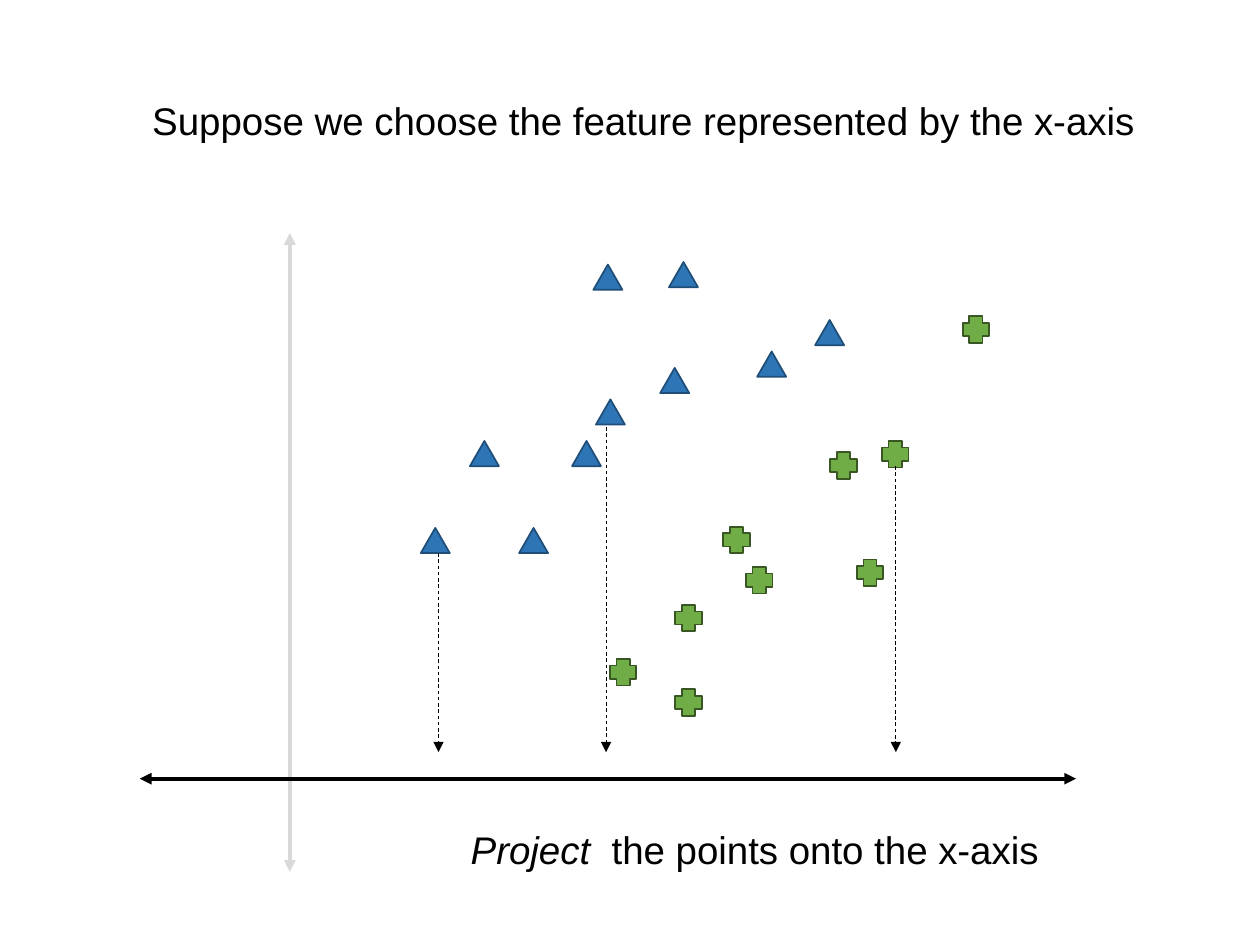
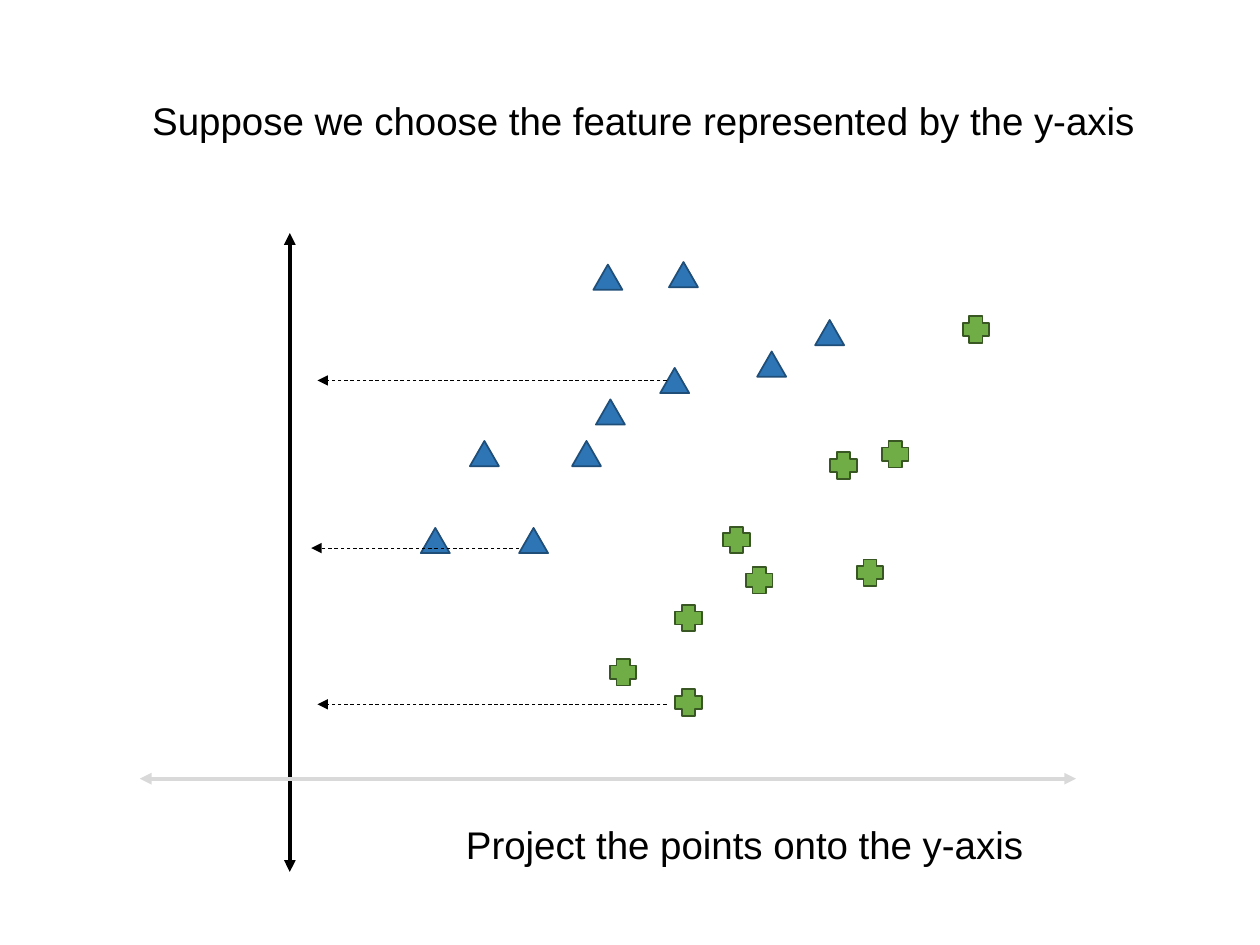
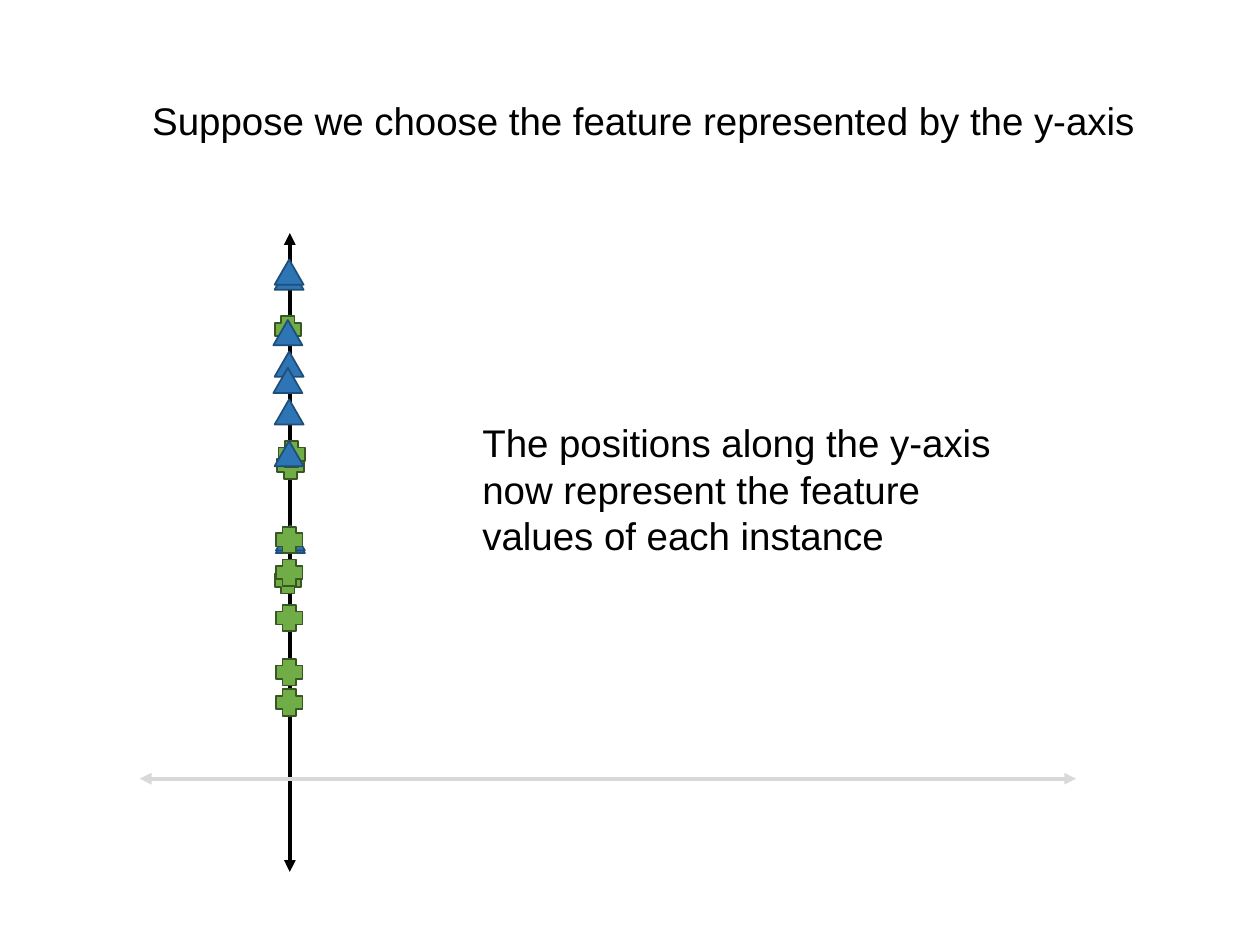
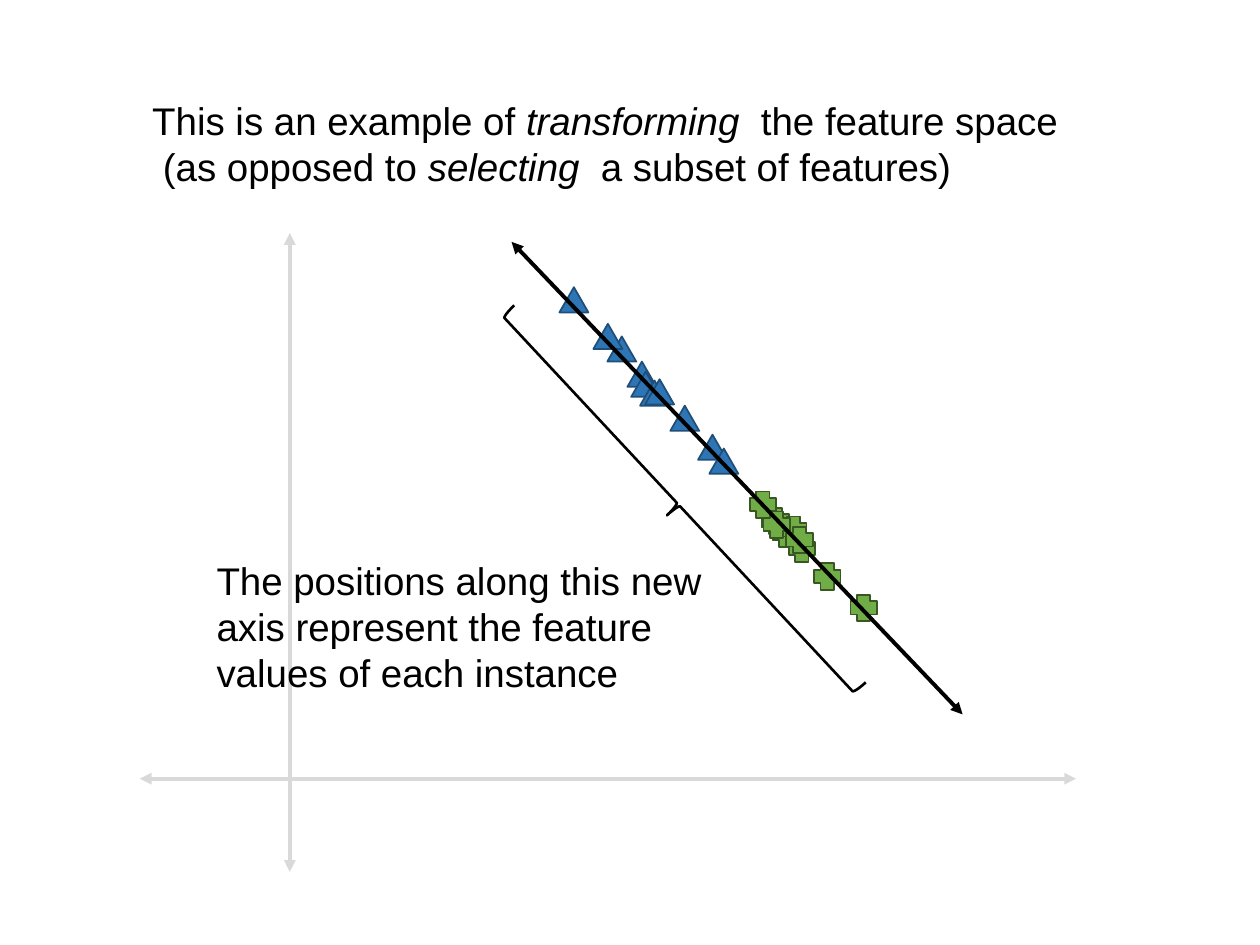
from pptx import Presentation, util as u
from pptx.dml.color import RGBColor
from pptx.enum import dml, shapes, text
from pptx.oxml.ns import qn
from lxml import etree

COLORS = {
    "ink": "000000",
    "muted": "D9D9D9",
    "triangle": "2E75B6",
    "triangle_edge": "1F4E79",
    "plus": "70AD47",
    "plus_edge": "385723",
}
FONT = "Arial"
TITLE_BOX = (1.11, 0.72, 8.51, 0.47)
PLOT_BOX = (1, 1, 8, 6)
MARKERS = {
    "triangle": (shapes.MSO_SHAPE.ISOSCELES_TRIANGLE, 0.23, 0.2),
    "plus": (shapes.MSO_SHAPE.CROSS, 0.21, 0.21),
}

SCATTER = [
    ("triangle", [(2.34, 3.19)]),
    ("plus", [(3.84, 4.23)]),
    ("triangle", [(2.73, 2.5), (3.12, 3.19), (3.71, 1.1), (5.01, 1.79),
                  (3.73, 2.17), (4.31, 1.08)]),
    ("plus", [(4.36, 3.8), (4.74, 3.18), (5.59, 2.59), (6.64, 1.51),
              (4.92, 3.5), (5.8, 3.44), (6, 2.5), (4.36, 4.47)]),
    ("triangle", [(5.47, 1.54), (3.54, 2.5), (4.24, 1.92)]),
]
ON_Y_AXIS = [
    ("triangle", [(1.19, 3.19)]),
    ("plus", [(1.19, 4.23)]),
    ("triangle", [(1.19, 3.17), (1.18, 1.1), (1.18, 1.79), (1.18, 2.17),
                  (1.18, 1.06)]),
    ("plus", [(1.19, 3.8), (1.19, 3.18), (1.2, 2.59), (1.18, 1.51),
              (1.18, 3.5), (1.19, 3.44), (1.21, 2.5), (1.19, 4.47)]),
    ("triangle", [(1.17, 1.54), (1.18, 2.5), (1.17, 1.92)]),
]
ON_NEW_AXIS = [
    ("triangle", [(3.98, 1.87)]),
    ("plus", [(5.05, 3.03)]),
    ("triangle", [(3.82, 1.67), (4.32, 2.22), (3.44, 1.28), (4.54, 2.45),
                  (4.01, 1.95), (3.71, 1.57)]),
    ("plus", [(5.13, 3.13), (4.95, 2.9), (5.19, 3.1), (5.06, 3.06),
              (5.26, 3.25), (5.75, 3.72), (5.24, 3.18), (5.46, 3.47)]),
    ("triangle", [(4.63, 2.56), (4.08, 2.02), (4.12, 2.01)]),
]


def rgb(name):
    return RGBColor.from_string(COLORS[name])


def add_text(s, box, runs, align=text.PP_ALIGN.LEFT, size=22, color="ink"):
    tf = s.shapes.add_textbox(*map(u.Inches, box)).text_frame
    tf.word_wrap = True
    tf.auto_size = text.MSO_AUTO_SIZE.SHAPE_TO_FIT_TEXT
    p = tf.paragraphs[0]
    p.alignment = align
    for words, italic in runs:
        for i, line in enumerate(words.split("\n")):
            if i:
                p.add_line_break()
            r = p.add_run()
            r.text = line
            r.font.name = FONT
            r.font.size = u.Pt(size)
            r.font.italic = italic
            r.font.color.rgb = rgb(color)


def add_arrow(s, box, start, end, color="ink", width=2.25, dashed=False,
              ends=("headEnd", "tailEnd")):
    x, y = box[:2]
    c = s.shapes.add_connector(
        shapes.MSO_CONNECTOR.STRAIGHT,
        u.Inches(x + start[0]), u.Inches(y + start[1]),
        u.Inches(x + end[0]), u.Inches(y + end[1]))
    c.line.width = u.Pt(width)
    c.line.color.rgb = rgb(color)
    if dashed:
        c.line.dash_style = dml.MSO_LINE.DASH
    ln = c.line._get_or_add_ln()
    for end_name in ends:
        etree.SubElement(ln, qn("a:" + end_name), type="triangle")
    etree.SubElement(c._element.spPr, qn("a:effectLst"))


def add_axes(s, box, x_color="muted", y_color="muted"):
    add_arrow(s, box, (1.3, 0.85), (1.3, 5.92), color=y_color)
    add_arrow(s, box, (7.54, 5.18), (0.11, 5.18), color=x_color)


def add_markers(s, box, groups):
    for kind, points in groups:
        preset, w, h = MARKERS[kind]
        for x, y in points:
            sp = s.shapes.add_shape(
                preset, u.Inches(box[0] + x), u.Inches(box[1] + y),
                u.Inches(w), u.Inches(h))
            sp.shadow.inherit = False
            sp.fill.solid()
            sp.fill.fore_color.rgb = rgb(kind)
            sp.line.color.rgb = rgb(kind + "_edge")
            sp.line.width = u.Pt(1)


def add_projections(s, box, segments):
    for start, end in segments:
        add_arrow(s, box, start, end, width=0.5, dashed=True,
                  ends=("tailEnd",))


def add_brace(s, box, x, y, w, h, rotation):
    sp = s.shapes.add_shape(
        shapes.MSO_SHAPE.LEFT_BRACE, u.Inches(box[0] + x),
        u.Inches(box[1] + y), u.Inches(w), u.Inches(h))
    sp.rotation = rotation
    sp.shadow.inherit = False
    sp.fill.background()
    sp.line.color.rgb = rgb("ink")
    sp.line.width = u.Pt(1.5)


def add_plot_slide(prs, title, groups, caption, caption_box, box=PLOT_BOX,
                   title_box=TITLE_BOX, segments=(),
                   align=text.PP_ALIGN.LEFT, **axis_colors):
    s = prs.slides.add_slide(prs.slide_layouts[6])
    add_axes(s, box, **axis_colors)
    add_markers(s, box, groups)
    add_projections(s, box, segments)
    add_text(s, title_box, title)
    x, y, w, h = caption_box
    add_text(s, (box[0] + x, box[1] + y, w, h), caption, align=align)
    return s


def axis_title(axis):
    return [(f"Suppose we choose the feature represented by the {axis}-axis",
             False)]


def main():
    prs = Presentation()
    prs.slide_width, prs.slide_height = u.Inches(10), u.Inches(7.5)

    add_plot_slide(
        prs, axis_title("x"), SCATTER,
        [("Project ", True), (" the points onto the x-axis", False)],
        (1.75, 5.51, 6.48, 0.47), align=text.PP_ALIGN.CENTER, x_color="ink",
        segments=[((x, y), (x, 4.97))
                  for x, y in [(2.48, 3.39), (3.81, 2.39), (6.11, 2.7)]])

    add_plot_slide(
        prs, axis_title("y"), SCATTER,
        [("Project the points onto the y-axis", False)],
        (1.67, 5.47, 6.48, 0.47), align=text.PP_ALIGN.CENTER, y_color="ink",
        segments=[((start, y), (end, y)) for start, end, y in
                  [(3.12, 1.47, 3.35), (4.29, 1.52, 2.02),
                   (4.29, 1.52, 4.59)]])

    add_plot_slide(
        prs, axis_title("y"), ON_Y_AXIS,
        [("The positions along the y-axis now represent the feature "
          "values of each instance", False)],
        (2.73, 2.28, 4.36, 1.21), y_color="ink")

    s = add_plot_slide(
        prs,
        [("This is an example of ", False), ("transforming ", True),
         (" the feature space \n (as opposed to ", False),
         ("selecting ", True), (" a subset of features)", False)],
        ON_NEW_AXIS,
        [("The positions along this new axis represent the feature "
          "values of each instance", False)],
        (0.62, 3.37, 4.22, 1.21), title_box=(*TITLE_BOX[:3], 0.84))
    add_arrow(s, PLOT_BOX, (6.64, 4.67), (3.06, 0.92))
    add_brace(s, PLOT_BOX, 4.26, 0.96, 0.25, 4.09, rotation=317)

    prs.save("out.pptx")


if __name__ == "__main__":
    main()
